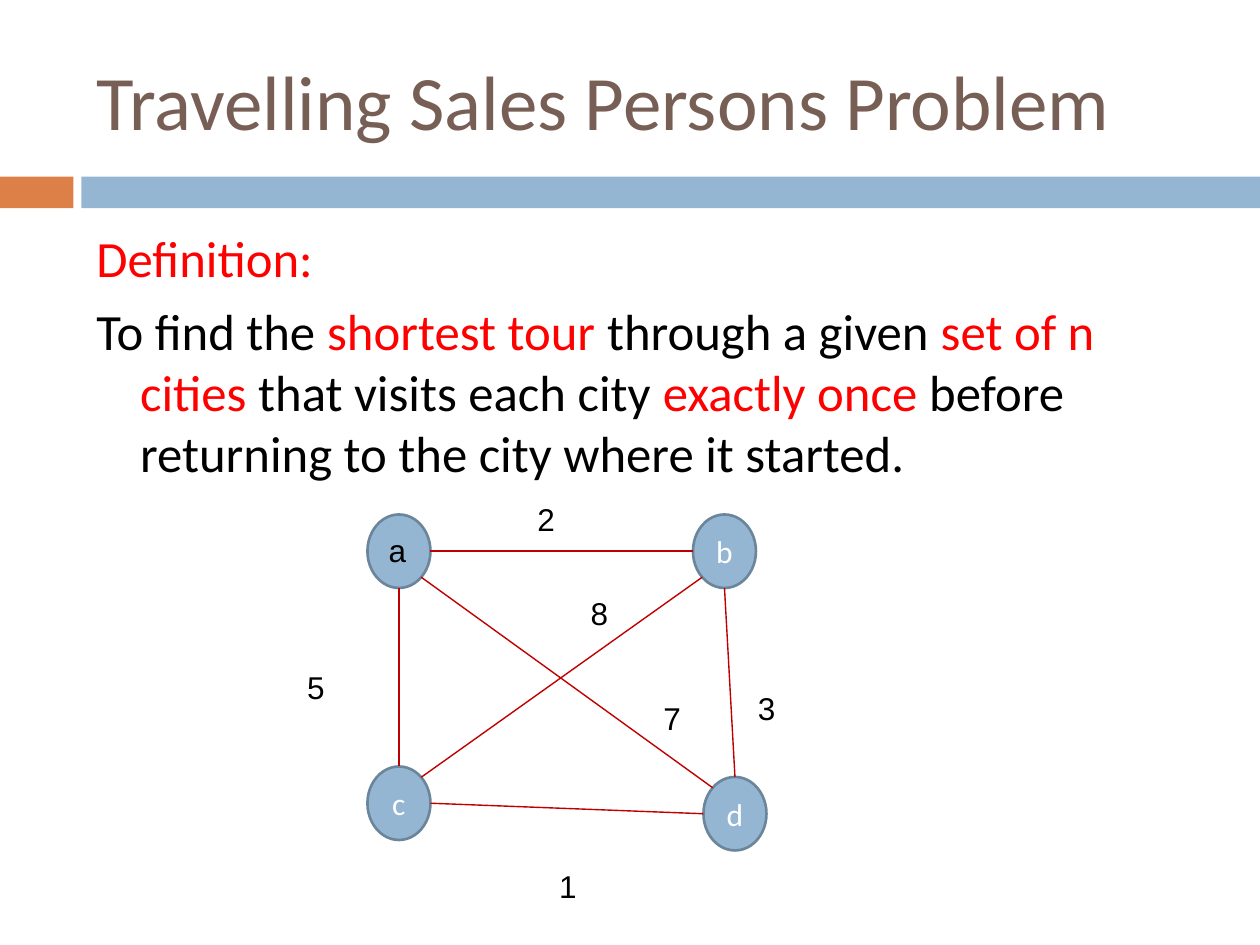
from math import hypot

from lxml.etree import SubElement
from pptx import Presentation
from pptx.dml.color import RGBColor
from pptx.enum.shapes import MSO_CONNECTOR as Line, MSO_SHAPE as Shape
from pptx.enum.text import MSO_ANCHOR as Anchor, PP_ALIGN as Align
from pptx.oxml.ns import qn
from pptx.util import Pt

BLUE = RGBColor(0x94, 0xB6, 0xD2)
ORANGE = RGBColor(0xDD, 0x80, 0x47)
BROWN = RGBColor(0x77, 0x5F, 0x55)
RIM = RGBColor(0x6B, 0x85, 0x9A)
EDGE = RGBColor(0xC0, 0x00, 0x00)
RED = RGBColor(0xFF, 0x00, 0x00)
BLACK = RGBColor(0x00, 0x00, 0x00)
WHITE = RGBColor(0xFF, 0xFF, 0xFF)

NODE_W, NODE_H = 36, 42


class Deck:
    head, plain = "Calibri", "Arial"

    def __init__(self, slide):
        self.shapes = slide.shapes

    def font(self, para, size, name, color=None):
        para.font.size, para.font.name = Pt(size), name
        if color is not None:
            para.font.color.rgb = color

    def solid(self, kind, x, y, w, h, fill, rim=None):
        shape = self.shapes.add_shape(kind, Pt(x), Pt(y), Pt(w), Pt(h))
        shape.shadow.inherit = False
        shape.fill.solid()
        shape.fill.fore_color.rgb = fill
        if rim is None:
            shape.line.fill.background()
        else:
            shape.line.color.rgb = rim
            shape.line.width = Pt(1.5)
        return shape

    def box(self, x, y, w, h, wrap=True):
        frame = self.shapes.add_textbox(Pt(x), Pt(y), Pt(w), Pt(h)).text_frame
        frame.word_wrap = wrap
        return frame

    def title(self, text):
        frame = self.box(48, 18, 642, 78)
        frame.vertical_anchor = Anchor.MIDDLE
        frame.text = text
        self.font(frame.paragraphs[0], 44, self.head, BROWN)

    def body(self, paras):
        frame = self.box(48, 126, 642, 156)
        for i, runs in enumerate(paras):
            para = frame.paragraphs[0]
            if i:
                para = frame.add_paragraph()
                para.space_before = Pt(7)
            props = para._p.get_or_add_pPr()
            props.set("marL", str(Pt(25)))
            props.set("indent", str(Pt(-25)))
            self.font(para, 29, self.head)
            for text, color in runs:
                run = para.add_run()
                run.text = text
                run.font.color.rgb = color

    def node(self, x, y, text):
        shape = self.solid(Shape.OVAL, x, y, NODE_W, NODE_H, BLUE, RIM)
        if text:
            frame = shape.text_frame
            frame.word_wrap = True
            frame.vertical_anchor = Anchor.MIDDLE
            frame.text = text
            frame.paragraphs[0].alignment = Align.CENTER
            self.font(frame.paragraphs[0], 18, self.head, WHITE)

    def edge(self, start, end, dx, dy, width):
        """Join the rims of two nodes, leaving the first towards (dx, dy)."""
        size = hypot(dx, dy)
        ends = []
        for (x, y), side in ((start, 1), (end, -1)):
            ends += [Pt(x + NODE_W / 2 * (1 + side * dx / size)),
                     Pt(y + NODE_H / 2 * (1 + side * dy / size))]
        line = self.shapes.add_connector(Line.STRAIGHT, *ends)
        line.line.color.rgb = EDGE
        line.line.width = Pt(width)
        SubElement(line._element.spPr, qn("a:effectLst"))

    def label(self, x, y, text):
        frame = self.box(x, y, 24.5, 29, wrap=False)
        frame.text = text
        self.font(frame.paragraphs[0], 18, self.plain, BLACK)


def main():
    prs = Presentation()
    prs.slide_width, prs.slide_height = Pt(720), Pt(540)
    deck = Deck(prs.slides.add_slide(prs.slide_layouts[6]))

    # Header
    deck.solid(Shape.RECTANGLE, 0, 101, 42, 18, ORANGE)
    deck.solid(Shape.RECTANGLE, 46.5, 101, 673.5, 18, BLUE)
    deck.title("Travelling Sales Persons Problem")

    # Definition
    deck.body([
        [("Definition:", RED)],
        [("To find the ", BLACK), ("shortest tour ", RED),
         ("through a given ", BLACK), ("set of n cities ", RED),
         ("that visits each city ", BLACK), ("exactly once ", RED),
         ("before returning to the city where it started.", BLACK)],
    ])

    # Cities; the name of city a is set as a label
    a, b, c, d = (210, 294), (396, 294), (210, 438), (402, 444)
    for spot, name in ((a, ""), (c, "c"), (d, "d"), (b, "b")):
        deck.node(*spot, name)

    # Roads
    for start, end, dx, dy, width in (
            (a, b, 1, 0, 1), (b, d, 0, 1, 0.79), (c, d, 1, 0, 0.79),
            (a, c, 0, 1, 0.79), (a, d, 1, 1, 0.79), (c, b, 1, -1, 0.79)):
        deck.edge(start, end, dx, dy, width)

    # Distances
    for x, y, text in (
            (300, 282, "2"), (426, 390, "3"), (312.5, 492, "1"),
            (168.5, 378, "5"), (330.5, 336, "8"), (372, 396, "7"),
            (215, 300, "a")):
        deck.label(x, y, text)

    prs.save("out.pptx")


if __name__ == "__main__":
    main()
